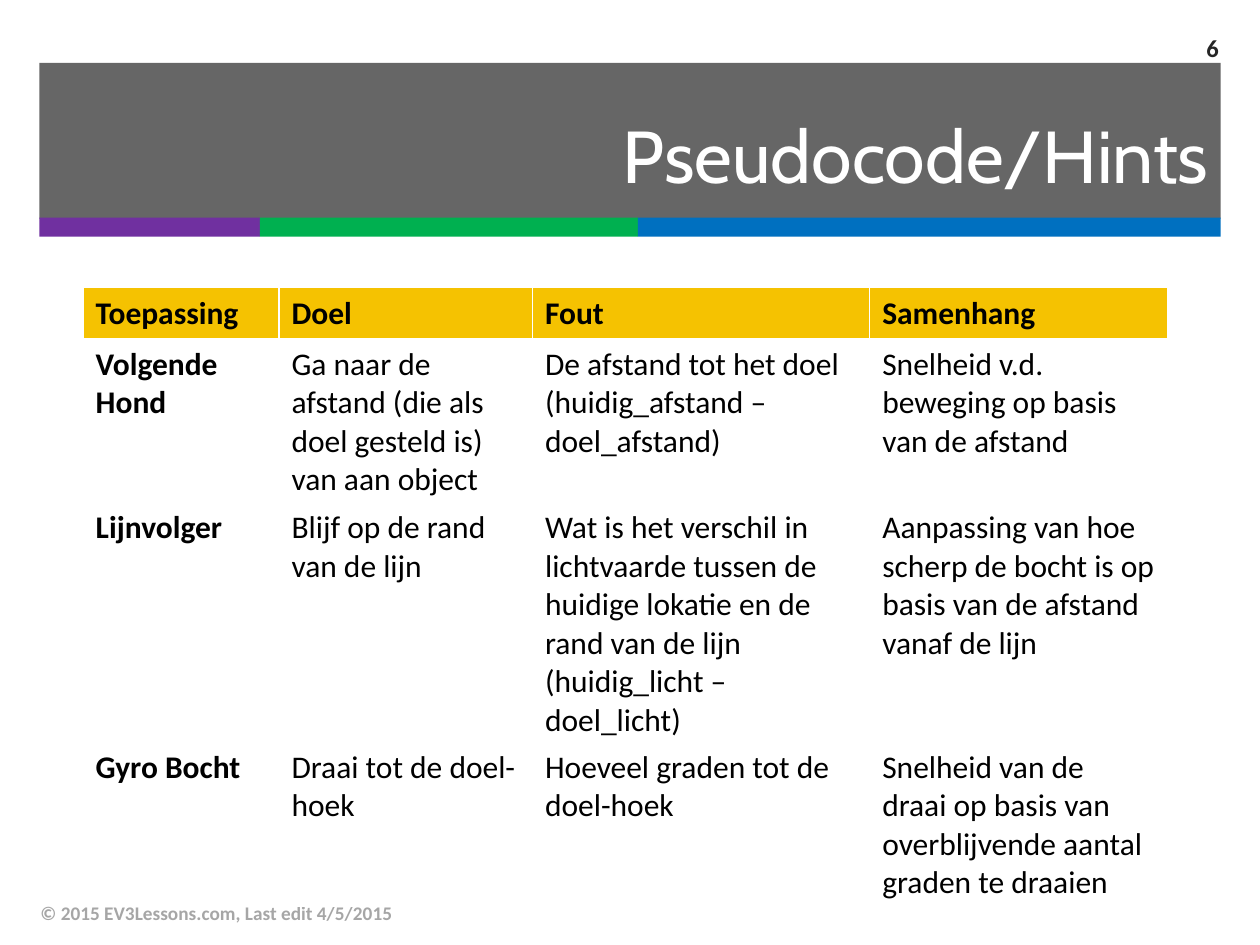
from pptx import Presentation
from pptx.dml.color import RGBColor
from pptx.enum.shapes import MSO_SHAPE
from pptx.enum.text import MSO_ANCHOR, PP_ALIGN
from pptx.oxml.ns import qn
from pptx.util import Pt
from lxml.etree import SubElement

WHITE = RGBColor(0xFF, 0xFF, 0xFF)
BLACK = RGBColor(0x00, 0x00, 0x00)
DARK = RGBColor(0x26, 0x26, 0x26)
GRAY = RGBColor(0xA6, 0xA6, 0xA6)
PURPLE = RGBColor(0x70, 0x30, 0xA0)
GREEN = RGBColor(0x00, 0xB0, 0x50)
BLUE = RGBColor(0x00, 0x70, 0xC0)
YELLOW = RGBColor(0xF5, 0xC2, 0x01)

MARGIN = 22.5
BANNER_WIDTH = 675
STRIPES = [(126, PURPLE), (216, GREEN), (333, BLUE)]
COLUMNS = [111.9, 144.9, 192.7, 170.5]
ROWS = [
    ["Toepassing", "Doel", "Fout", "Samenhang"],
    ["Volgende Hond",
     "Ga naar de afstand (die als doel gesteld is) van aan object",
     "De afstand tot het doel (huidig_afstand – doel_afstand)",
     "Snelheid v.d. beweging op basis van de afstand"],
    ["Lijnvolger",
     "Blijf op de rand van de lijn",
     "Wat is het verschil in lichtvaarde tussen de huidige lokatie en de "
     "rand van de lijn\n(huidig_licht – doel_licht)",
     "Aanpassing van hoe scherp de bocht is op basis van de afstand vanaf de lijn"],
    ["Gyro Bocht",
     "Draai tot de doel-hoek",
     "Hoeveel graden tot de doel-hoek",
     "Snelheid van de draai op basis van overblijvende aantal graden te draaien"],
]


class Deck:
    body_font = "Calibri"
    title_font = "Cabin"

    def __init__(self, width, height):
        self.prs = Presentation()
        self.prs.slide_width, self.prs.slide_height = Pt(width), Pt(height)
        self.s = self.prs.slides.add_slide(self.prs.slide_layouts[6])

    def style(self, p, size, color, bold=False, font=None):
        p.font.name = font or self.body_font
        p.font.size = Pt(size)
        p.font.bold = bold
        p.font.color.rgb = color

    def bar(self, x, y, w, h, color, opacity=None):
        sp = self.s.shapes.add_shape(MSO_SHAPE.RECTANGLE, Pt(x), Pt(y), Pt(w), Pt(h))
        sp.shadow.inherit = False
        sp.fill.solid()
        sp.fill.fore_color.rgb = color
        sp.line.fill.background()
        if opacity is not None:
            clr = sp.fill._xPr.find(qn("a:solidFill")).find(qn("a:srgbClr"))
            SubElement(clr, qn("a:alpha")).set("val", str(opacity * 1000))

    def text(self, x, y, w, h, text, size, color, align=PP_ALIGN.LEFT, **style):
        tf = self.s.shapes.add_textbox(Pt(x), Pt(y), Pt(w), Pt(h)).text_frame
        tf.word_wrap = True
        tf.vertical_anchor = MSO_ANCHOR.MIDDLE
        p = tf.paragraphs[0]
        p.text = text
        p.alignment = align
        self.style(p, size, color, **style)

    def table(self, x, y, columns, row_height, rows, size, header_color):
        table = self.s.shapes.add_table(
            len(rows), len(columns), Pt(x), Pt(y),
            Pt(sum(columns)), Pt(row_height * len(rows))).table
        table.horz_banding = False
        for column, width in zip(table.columns, columns):
            column.width = Pt(width)
        for i, row in enumerate(rows):
            for j, text in enumerate(row):
                cell = table.cell(i, j)
                if i == 0:
                    cell.fill.solid()
                    cell.fill.fore_color.rgb = header_color
                else:
                    cell.fill.background()
                p = cell.text_frame.paragraphs[0]
                p.text = text
                self.style(p, size, BLACK, bold=i == 0 or j == 0)


def main():
    deck = Deck(720, 540)
    deck.bar(MARGIN, 36, BANNER_WIDTH, 89, DARK, opacity=70)
    x = MARGIN
    for width, color in STRIPES:
        deck.bar(x, 124.4, width, 10.8, color)
        x += width
    deck.text(MARGIN, 50, BANNER_WIDTH, 76, "Pseudocode/Hints", 42, WHITE,
              PP_ALIGN.RIGHT, font=deck.title_font)
    deck.text(16, 507, 482, 28.8, "© 2015 EV3Lessons.com, Last edit 4/5/2015",
              11, GRAY, bold=True)
    deck.table(47.5, 164.4, COLUMNS, 29.2, ROWS, 18, YELLOW)
    deck.text(654, 13, 49.5, 28, "6", 14, DARK, PP_ALIGN.RIGHT, bold=True)
    deck.prs.save("out.pptx")


if __name__ == "__main__":
    main()
